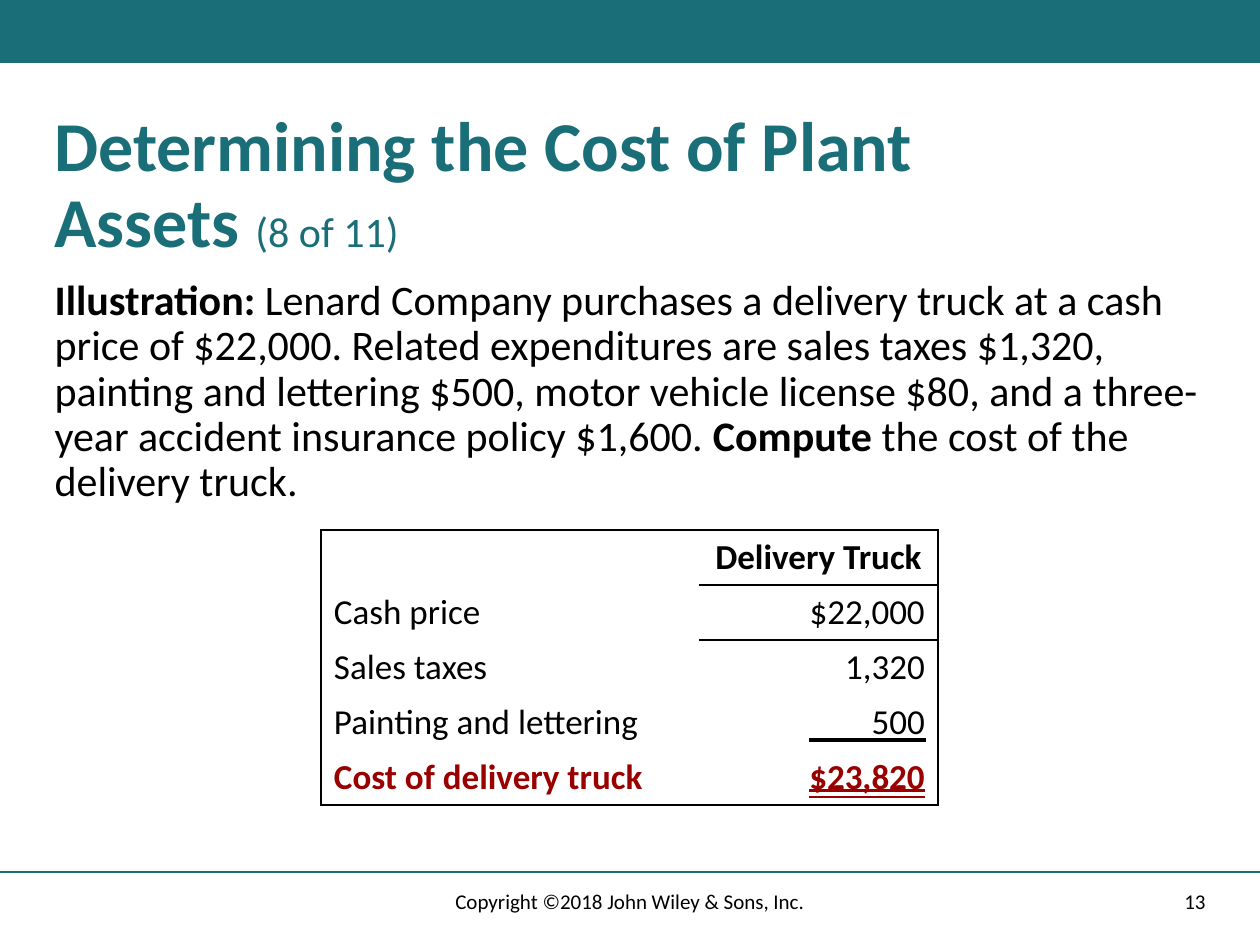
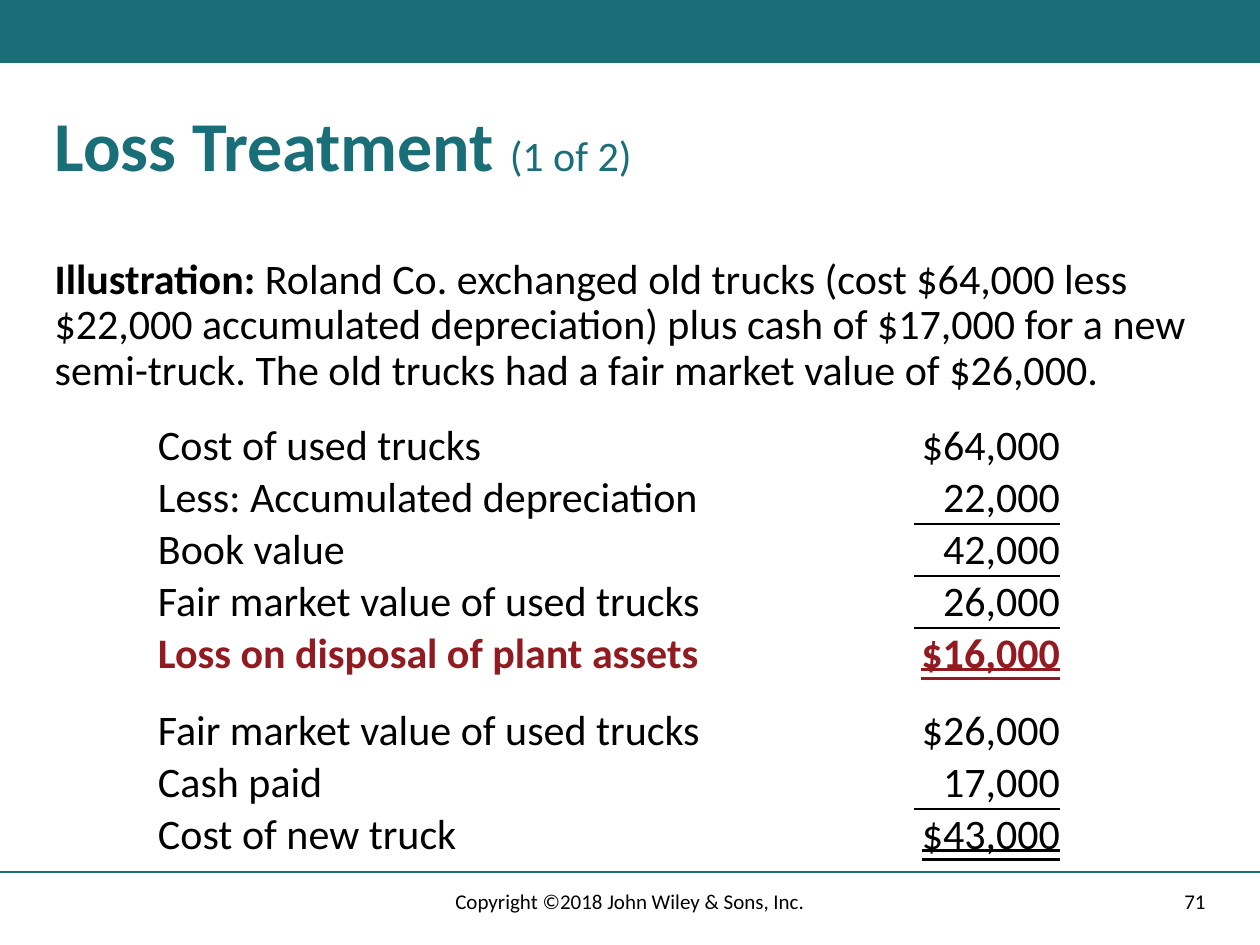
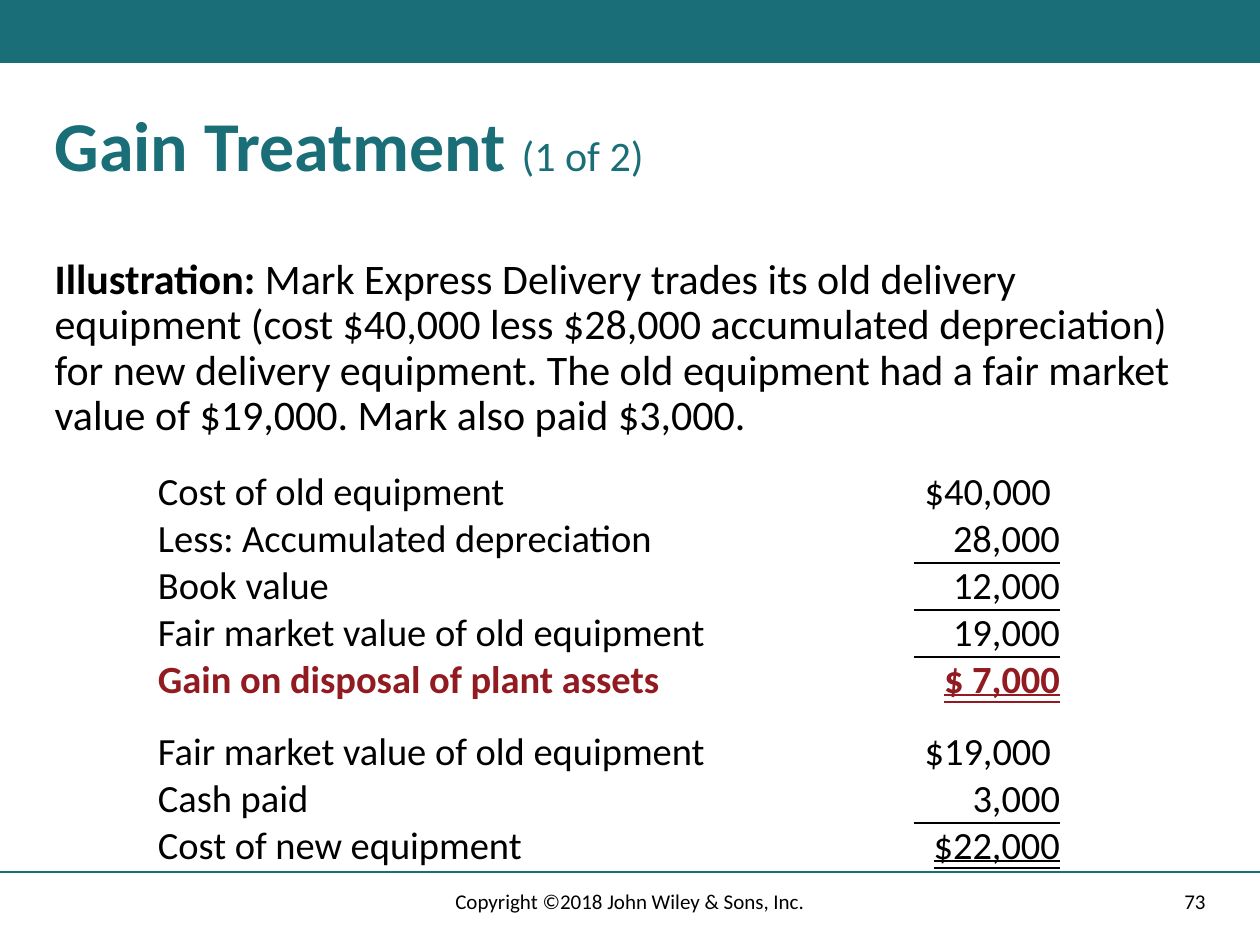
from lxml import etree
from pptx import Presentation
from pptx.dml.color import RGBColor
from pptx.enum.shapes import MSO_CONNECTOR, MSO_SHAPE
from pptx.enum.text import MSO_ANCHOR, MSO_AUTO_SIZE, MSO_TEXT_UNDERLINE_TYPE as Underline, PP_ALIGN
from pptx.oxml.ns import qn
from pptx.util import Emu, Pt

COLORS = {"teal": "196E78", "black": "000000", "red": "990000", "maroon": "911B21"}
FONT = "Calibri"
PX = 914400 / 126
SLIDE_WIDTH, SLIDE_HEIGHT = 1260, 945
MARGIN, TEXT_WIDTH = 42, 1176
NO_STYLE = "{2D5ABB26-0587-4C30-8999-92F81FD0307C}"
COPYRIGHT = "Copyright ©2018 John Wiley & Sons, Inc."

# Content. Body parts are (text, bold); boxes are (left, top, width, height).
# Borders map (row, column) to sides: L left, R right, T top, B bottom.
STATEMENT = {
    "left": 158, "columns": (756, 146), "total_color": "maroon", "totals": (4, 7),
    "total_bold": (4,), "anchor": MSO_ANCHOR.MIDDLE, "inset": (0, 0), "group_start": 5,
    "borders": {(row, 1): "B" for row in (1, 2, 3, 6)},
}
SLIDES = [
    {
        "title": ("Determining the Cost of Plant Assets ", "(8 of 11)"),
        "title_box": (MARGIN, 105, 1061, 158),
        "body": [
            ("Illustration: ", True),
            ("Lenard Company purchases a delivery truck at a cash price of $22,000. "
             "Related expenditures are sales taxes $1,320, painting and lettering $500, "
             "motor vehicle license $80, and a three-year accident insurance policy $1,600. ", False),
            ("Compute", True),
            (" the cost of the delivery truck.", False),
        ],
        "body_box": (MARGIN, 273, TEXT_WIDTH, 242),
        "rows": [
            ("", "Delivery Truck"),
            ("Cash price", "$22,000"),
            ("Sales taxes", "1,320"),
            ("Painting and lettering", "500"),
            ("Cost of delivery truck", "$23,820"),
        ],
        "table": {
            "left": 321, "top": 530, "columns": (378, 239), "row_height": 55, "size": 20,
            "total_color": "red", "totals": (4,), "total_bold": (4,), "header": True,
            "anchor": MSO_ANCHOR.TOP, "inset": (13, 6),
            "borders": {
                (0, 0): "LT", (0, 1): "RTB", (1, 0): "L", (1, 1): "RT", (2, 0): "L", (2, 1): "R",
                (3, 0): "L", (3, 1): "R", (4, 0): "LB", (4, 1): "RB",
            },
        },
        "subtotal_rule": (809, 740, 926, 740),
        "number": "13",
    },
    {
        "title": ("Loss Treatment ", "(1 of 2)"),
        "title_box": (MARGIN, 105, TEXT_WIDTH, 105),
        "body": [
            ("Illustration: ", True),
            ("Roland Co. exchanged old trucks (cost $64,000 less $22,000 accumulated "
             "depreciation) plus cash of $17,000 for a new semi-truck. The old trucks had "
             "a fair market value of $26,000.", False),
        ],
        "body_box": (MARGIN, 252, TEXT_WIDTH, 145),
        "rows": [
            ("Cost of used trucks", "$64,000"),
            ("Less: Accumulated depreciation", "22,000"),
            ("Book value", "42,000"),
            ("Fair market value of used trucks", "26,000"),
            ("Loss on disposal of plant assets", "$16,000"),
            ("Fair market value of used trucks", "$26,000"),
            ("Cash paid", "17,000"),
            ("Cost of new truck", "$43,000"),
        ],
        "table": {**STATEMENT, "top": 420, "row_height": 52, "size": 24},
        "number": "71",
    },
    {
        "title": ("Gain Treatment ", "(1 of 2)"),
        "title_box": (MARGIN, 105, TEXT_WIDTH, 95),
        "body": [
            ("Illustration: ", True),
            ("Mark Express Delivery trades its old delivery equipment (cost $40,000 less "
             "$28,000 accumulated depreciation) for new delivery equipment. The old equipment "
             "had a fair market value of $19,000. Mark also paid $3,000.", False),
        ],
        "body_box": (MARGIN, 252, TEXT_WIDTH, 189),
        "rows": [
            ("Cost of old equipment", "$40,000"),
            ("Less: Accumulated depreciation", "28,000"),
            ("Book value", "12,000"),
            ("Fair market value of old equipment", "19,000"),
            ("Gain on disposal of plant assets", "$ 7,000"),
            ("Fair market value of old equipment", "$19,000"),
            ("Cash paid", "3,000"),
            ("Cost of new equipment", "$22,000"),
        ],
        "table": {**STATEMENT, "top": 469, "row_height": 47, "size": 22, "opening_inset": 9},
        "number": "73",
    },
]


def px(value):
    return Emu(round(value * PX))


def color(name):
    return RGBColor.from_string(COLORS[name])


def format_run(run, size, color_name="black", bold=False):
    run.font.name = FONT
    run.font.size = Pt(size)
    run.font.bold = bold
    run.font.color.rgb = color(color_name)


def add_line(slide, start_x, start_y, end_x, end_y, color_name, width):
    line = slide.shapes.add_connector(
        MSO_CONNECTOR.STRAIGHT, *map(px, (start_x, start_y, end_x, end_y)))
    line.line.color.rgb = color(color_name)
    line.line.width = Pt(width)
    etree.SubElement(line._element.spPr, qn("a:effectLst"))


def add_footer_text(slide, left, width, text, alignment):
    box = slide.shapes.add_textbox(*map(px, (left, 876, width, 50)))
    frame = box.text_frame
    frame.word_wrap = True
    frame.vertical_anchor = MSO_ANCHOR.MIDDLE
    frame.text = text
    paragraph = frame.paragraphs[0]
    paragraph.alignment = alignment
    format_run(paragraph.runs[0], 12)


def add_frame(slide, number):
    """Draw the top band and the footer that every slide has."""
    band = slide.shapes.add_shape(MSO_SHAPE.RECTANGLE, 0, 0, px(SLIDE_WIDTH), px(63))
    band.shadow.inherit = False
    band.fill.solid()
    band.fill.fore_color.rgb = color("teal")
    band.line.fill.background()
    add_line(slide, 0, 872, SLIDE_WIDTH, 872, "teal", 1)
    add_footer_text(slide, 890, 328, number, PP_ALIGN.RIGHT)
    add_footer_text(slide, 417, 426, COPYRIGHT, PP_ALIGN.CENTER)


def fill_placeholder(shape, box, parts):
    """Place a placeholder and write its (text, size, color, bold) parts."""
    shape.left, shape.top, shape.width, shape.height = map(px, box)
    frame = shape.text_frame
    frame.auto_size = MSO_AUTO_SIZE.NONE
    frame.vertical_anchor = MSO_ANCHOR.TOP
    paragraph = frame.paragraphs[0]
    properties = paragraph._p.get_or_add_pPr()
    properties.set("marL", "0")
    properties.set("indent", "0")
    etree.SubElement(properties, qn("a:buNone"))
    paragraph.alignment = PP_ALIGN.LEFT
    paragraph.line_spacing = 0.9
    paragraph.space_before = Pt(0)
    for text, size, color_name, bold in parts:
        run = paragraph.add_run()
        run.text = text
        format_run(run, size, color_name, bold)


def add_borders(cell, sides):
    properties = cell._tc.get_or_add_tcPr()
    for side in sides:
        line = etree.SubElement(properties, qn(f"a:ln{side}"), w=str(Pt(1)))
        fill = etree.SubElement(line, qn("a:solidFill"))
        etree.SubElement(fill, qn("a:srgbClr"), val=COLORS["black"])


def format_cell(cell, row, column, text, design):
    inset_x, inset_y = design["inset"]
    starts_group = row == design.get("group_start")
    cell.margin_left = cell.margin_right = px(inset_x)
    cell.margin_top = px(25 if starts_group else inset_y)
    cell.margin_bottom = px(inset_y)
    if column == 1 and (row == 0 or starts_group):
        cell.margin_right = px(design.get("opening_inset", inset_x))
    cell.vertical_anchor = design["anchor"]
    add_borders(cell, design["borders"].get((row, column), ""))
    cell.fill.background()
    if not text:
        return

    cell.text_frame.text = text
    paragraph = cell.text_frame.paragraphs[0]
    is_header = row == 0 and design.get("header", False)
    highlighted = row in design["total_bold"]
    if column == 1:
        paragraph.alignment = PP_ALIGN.CENTER if is_header else PP_ALIGN.RIGHT
    run = paragraph.runs[0]
    format_run(run, design["size"], design["total_color"] if highlighted else "black",
               is_header or highlighted)
    if column == 1 and row in design["totals"]:
        run.font.underline = Underline.DOUBLE_LINE


def add_cost_table(slide, rows, design):
    heights = [design["row_height"]] * len(rows)
    if "group_start" in design:
        heights[design["group_start"]] += 25
    table = slide.shapes.add_table(
        len(rows), 2, px(design["left"]), px(design["top"]),
        px(sum(design["columns"])), px(sum(heights))).table
    table.first_row = table.horz_banding = False
    table._tbl.tblPr.find(qn("a:tableStyleId")).text = NO_STYLE
    for column, width in zip(table.columns, design["columns"]):
        column.width = px(width)
    for row, (texts, height) in enumerate(zip(rows, heights)):
        table.rows[row].height = px(height)
        for column, text in enumerate(texts):
            format_cell(table.cell(row, column), row, column, text, design)


def main():
    presentation = Presentation()
    presentation.slide_width = px(SLIDE_WIDTH)
    presentation.slide_height = px(SLIDE_HEIGHT)
    for content in SLIDES:
        slide = presentation.slides.add_slide(presentation.slide_layouts[1])
        add_frame(slide, content["number"])

        # Title and illustration
        name, part = content["title"]
        fill_placeholder(slide.shapes.title, content["title_box"],
                         [(name, 40, "teal", True), (part, 24, "teal", False)])
        fill_placeholder(slide.placeholders[1], content["body_box"],
                         [(text, 24, "black", bold) for text, bold in content["body"]])

        # Computation
        add_cost_table(slide, content["rows"], content["table"])
        if "subtotal_rule" in content:
            add_line(slide, *content["subtotal_rule"], "black", 2.25)
    presentation.save("out.pptx")


if __name__ == "__main__":
    main()
